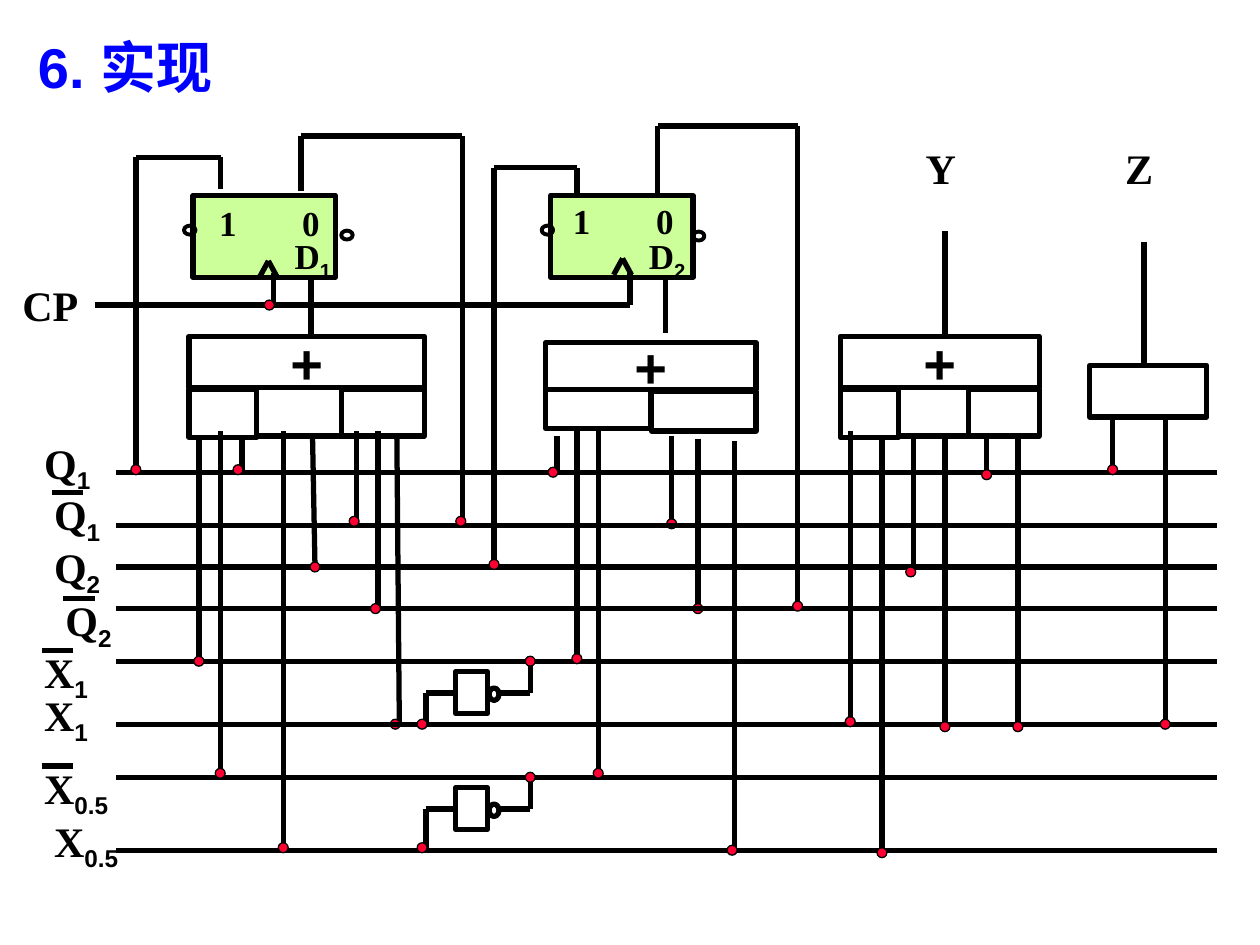
from itertools import pairwise

from lxml import etree
from pptx import Presentation
from pptx import util as u
from pptx.dml.color import RGBColor
from pptx.enum import shapes, text
from pptx.oxml.ns import qn

BLACK = RGBColor(0x00, 0x00, 0x00)
BLUE = RGBColor(0x00, 0x00, 0xFF)
GREEN = RGBColor(0xCC, 0xFF, 0x99)
RED = RGBColor(0xFF, 0x00, 0x33)

BUS_START, BUS_END = 0.92, 9.66
DOT_SIZE = 0.08

# height of the bus, label position, letter, subscript, negated
BUSES = [
    (3.75, 0.25, 3.42, "Q", "1", False),
    (4.17, 0.33, 3.83, "Q", "1", True),
    (4.50, 0.33, 4.25, "Q", "2", False),
    (4.83, 0.42, 4.67, "Q", "2", True),
    (5.25, 0.25, 5.08, "X", "1", True),
    (5.75, 0.25, 5.42, "X", "1", False),
    (6.17, 0.25, 6.00, "X", "0.5", True),
    (6.75, 0.33, 6.42, "X", "0.5", False),
]

# wire from gate input to bus, then its junction: (top, bottom, junction)
DROPS_UNDER_BUSES = [
    ((3.15, 3.46), (3.17, 5.75), (3.14, 5.75)),
    ((5.33, 3.46), (5.33, 4.19), (5.33, 4.16)),
    ((5.54, 3.48), (5.54, 4.83), (5.54, 4.83)),
]
DROPS = [
    ((1.58, 3.46), (1.58, 5.25), (1.58, 5.25)),
    ((1.75, 3.42), (1.75, 6.17), (1.75, 6.14)),
    ((1.92, 3.46), (1.92, 3.75), (1.89, 3.73)),
    ((2.25, 3.42), (2.25, 6.75), (2.25, 6.73)),
    ((2.48, 3.46), (2.50, 4.50), (2.50, 4.50)),
    ((2.83, 3.42), (2.83, 4.17), (2.81, 4.14)),
    ((3.00, 3.42), (3.00, 4.83), (2.98, 4.83)),
    ((4.42, 3.46), (4.42, 3.75), (4.39, 3.75)),
    ((4.58, 3.42), (4.58, 5.25), (4.58, 5.23)),
    ((4.75, 3.42), (4.75, 6.17), (4.75, 6.14)),
    ((5.83, 3.50), (5.83, 6.75), (5.81, 6.75)),
    ((6.75, 3.42), (6.75, 5.75), (6.75, 5.73)),
    ((7.00, 3.46), (7.00, 6.79), (7.00, 6.77)),
    ((7.25, 3.46), (7.25, 4.54), (7.23, 4.54)),
    ((7.50, 3.46), (7.50, 5.79), (7.50, 5.77)),
    ((7.83, 3.46), (7.83, 3.79), (7.83, 3.77)),
    ((8.08, 3.46), (8.08, 5.79), (8.08, 5.77)),
    ((8.83, 3.33), (8.83, 3.75), (8.83, 3.73)),
    ((9.25, 3.33), (9.25, 5.75), (9.25, 5.75)),
]

# flip-flop outputs led round to the buses, with the junction at the end
FEEDBACKS = [
    ([(1.75, 1.50), (1.75, 1.25), (1.08, 1.25), (1.08, 3.75)], (1.08, 3.73)),
    ([(2.39, 1.52), (2.39, 1.08), (3.67, 1.08), (3.67, 4.12)], (3.66, 4.14)),
    ([(4.58, 1.55), (4.58, 1.33), (3.92, 1.33), (3.92, 4.45)], (3.92, 4.48)),
    ([(5.22, 1.54), (5.22, 1.00), (6.33, 1.00), (6.33, 4.79)], (6.33, 4.81)),
]


def cm(inches):
    return u.Cm(round(inches * 2.54, 2))


class Circuit:
    def __init__(self, slide):
        self.slide = slide
        self.serif, self.sans = "Times New Roman", "Arial"
        self.stroke = 3

    def style(self, paragraph, size, face, color=BLACK):
        font = paragraph.font
        font.size, font.name, font.bold = u.Pt(size), face, True
        font.color.rgb = color

    def title(self, words, left, top, width, height):
        heading = self.slide.shapes.title
        heading.left, heading.top = cm(left), cm(top)
        heading.width, heading.height = cm(width), cm(height)
        frame = heading.text_frame
        frame.text = words
        frame.auto_size = text.MSO_AUTO_SIZE.NONE
        frame.vertical_anchor = text.MSO_ANCHOR.TOP
        frame.paragraphs[0].alignment = text.PP_ALIGN.LEFT
        self.style(frame.paragraphs[0], 32, self.sans, BLUE)

    def label(self, words, left, top, width, subscript="", size=24):
        box = self.slide.shapes.add_textbox(
            cm(left), cm(top), cm(width), cm(0.1 + size / 60))
        box.text_frame.word_wrap = True
        paragraph = box.text_frame.paragraphs[0]
        paragraph.add_run().text = words
        self.style(paragraph, size, self.serif)
        if subscript:
            index = paragraph.add_run()
            index.text = subscript
            index.font.name = self.sans
            index._r.get_or_add_rPr().set("baseline", "-25000")

    def shape(self, preset, left, top, width, height, fill=None, stroke=None):
        part = self.slide.shapes.add_shape(
            preset, cm(left), cm(top), cm(width), cm(height))
        part.shadow.inherit = False
        if fill is None:
            part.fill.background()
        else:
            part.fill.solid()
            part.fill.fore_color.rgb = fill
        part.line.color.rgb = BLACK
        part.line.width = u.Pt(stroke or self.stroke)
        return part

    def block(self, left, top, width, height, fill=None, sign=""):
        part = self.shape(shapes.MSO_SHAPE.RECTANGLE, left, top, width, height, fill)
        if sign:
            frame = part.text_frame
            frame.text = sign
            frame.word_wrap = False
            frame.vertical_anchor = text.MSO_ANCHOR.MIDDLE
            frame.paragraphs[0].alignment = text.PP_ALIGN.CENTER
            self.style(frame.paragraphs[0], 32, self.sans)

    def bubble(self, left, top, width=0.09, height=0.07, stroke=2.25):
        self.shape(shapes.MSO_SHAPE.OVAL, left, top, width, height, stroke=stroke)

    def junction(self, x, y):
        self.shape(shapes.MSO_SHAPE.OVAL, x - DOT_SIZE / 2, y - DOT_SIZE / 2,
                   DOT_SIZE, DOT_SIZE, RED, 0.75)

    def wire(self, *points):
        """Join the points by straight lines."""
        for (x1, y1), (x2, y2) in pairwise(points):
            line = self.slide.shapes.add_connector(
                shapes.MSO_CONNECTOR.STRAIGHT, cm(x1), cm(y1), cm(x2), cm(y2))
            line.line.color.rgb = BLACK
            line.line.width = u.Pt(self.stroke)
            etree.SubElement(line._element.spPr, qn("a:effectLst"))

    def drop(self, top, bottom, junction):
        self.wire(top, bottom)
        self.junction(*junction)

    def bus(self, y, label_x, label_y, letter, subscript, negated):
        self.wire((BUS_START, y), (BUS_END, y))
        self.label(letter, label_x, label_y, 0.92, subscript)
        if negated:
            bar_x, bar_y = label_x + 0.08, label_y + 0.08
            self.wire((bar_x, bar_y), (bar_x + 0.25, bar_y))

    def flip_flop(self, number, left, pin_x, pin_y, right_bubble):
        self.block(left, 1.55, 1.13, 0.65, GREEN)
        self.bubble(left - 0.07, 1.79)
        self.bubble(*right_bubble)
        self.label("1", pin_x, pin_y, 0.58, size=20)
        self.label("0", pin_x + 0.66, pin_y, 0.38, size=20)
        self.label("D", pin_x + 0.6, 1.81, 0.55, number, size=20)
        clock, base = pin_x + 0.49, pin_y + 0.65
        self.wire((clock - 0.07, base), (clock, base - 0.13), (clock + 0.07, base))
        self.wire((pin_x + 0.83, base), (pin_x + 0.83, base + 0.46))

    def three_term_gate(self, left, width, first, last, base_end):
        """Draw an OR over three AND terms; the middle one is closed by a line."""
        self.block(left, 2.67, width, 0.41, sign="+")
        self.block(left, 3.09, first, 0.38)
        self.block(left + width - last, 3.09, last, 0.37)
        self.wire((left + first, 3.46), (base_end, 3.46))

    def inverter(self, y, input_y, output_y):
        self.wire((3.38, input_y), (3.38, y), (3.62, y))
        self.block(3.62, y - 0.17, 0.25, 0.33)
        self.bubble(3.88, y - 0.04, 0.08, 0.1, self.stroke)
        self.wire((3.96, y), (4.21, y), (4.21, output_y))
        self.junction(3.35, input_y)
        self.junction(4.21, output_y)


def main():
    deck = Presentation()
    deck.slide_width, deck.slide_height = cm(10), cm(7.5)
    title_only = deck.slide_layouts[5]
    circuit = Circuit(deck.slides.add_slide(title_only))
    circuit.title("6. 实现", 0.2, 0.21, 2.58, 0.64)

    circuit.flip_flop("1", 1.53, 1.64, 1.55, (2.71, 1.83))
    circuit.flip_flop("2", 4.37, 4.45, 1.53, (5.5, 1.84))
    circuit.label("CP", 0.08, 2.17, 0.92)
    circuit.wire((0.75, 2.42), (5, 2.42), (5, 2.17))
    circuit.wire((2.17, 2.42), (2.17, 2.17))
    circuit.junction(2.14, 2.42)

    for drop in DROPS_UNDER_BUSES:
        circuit.drop(*drop)
    for bus in BUSES:
        circuit.bus(*bus)

    circuit.three_term_gate(1.5, 1.87, 0.54, 0.66, 2.88)
    circuit.three_term_gate(6.67, 1.58, 0.46, 0.56, 7.83)
    circuit.block(4.33, 2.72, 1.67, 0.37, sign="+")
    circuit.block(4.33, 3.09, 0.83, 0.31)
    circuit.block(5.17, 3.11, 0.83, 0.31)
    circuit.block(8.65, 2.9, 0.93, 0.41)

    for points, junction in FEEDBACKS:
        circuit.wire(*points)
        circuit.junction(*junction)
    circuit.inverter(5.5, 5.75, 5.25)
    circuit.inverter(6.42, 6.73, 6.17)
    for drop in DROPS:
        circuit.drop(*drop)

    circuit.wire((7.5, 2.67), (7.5, 1.83))
    circuit.wire((9.08, 2.92), (9.08, 1.92))
    circuit.label("Y", 7.25, 1.08, 0.58)
    circuit.label("Z", 8.83, 1.08, 0.58)
    deck.save("out.pptx")


if __name__ == "__main__":
    main()
